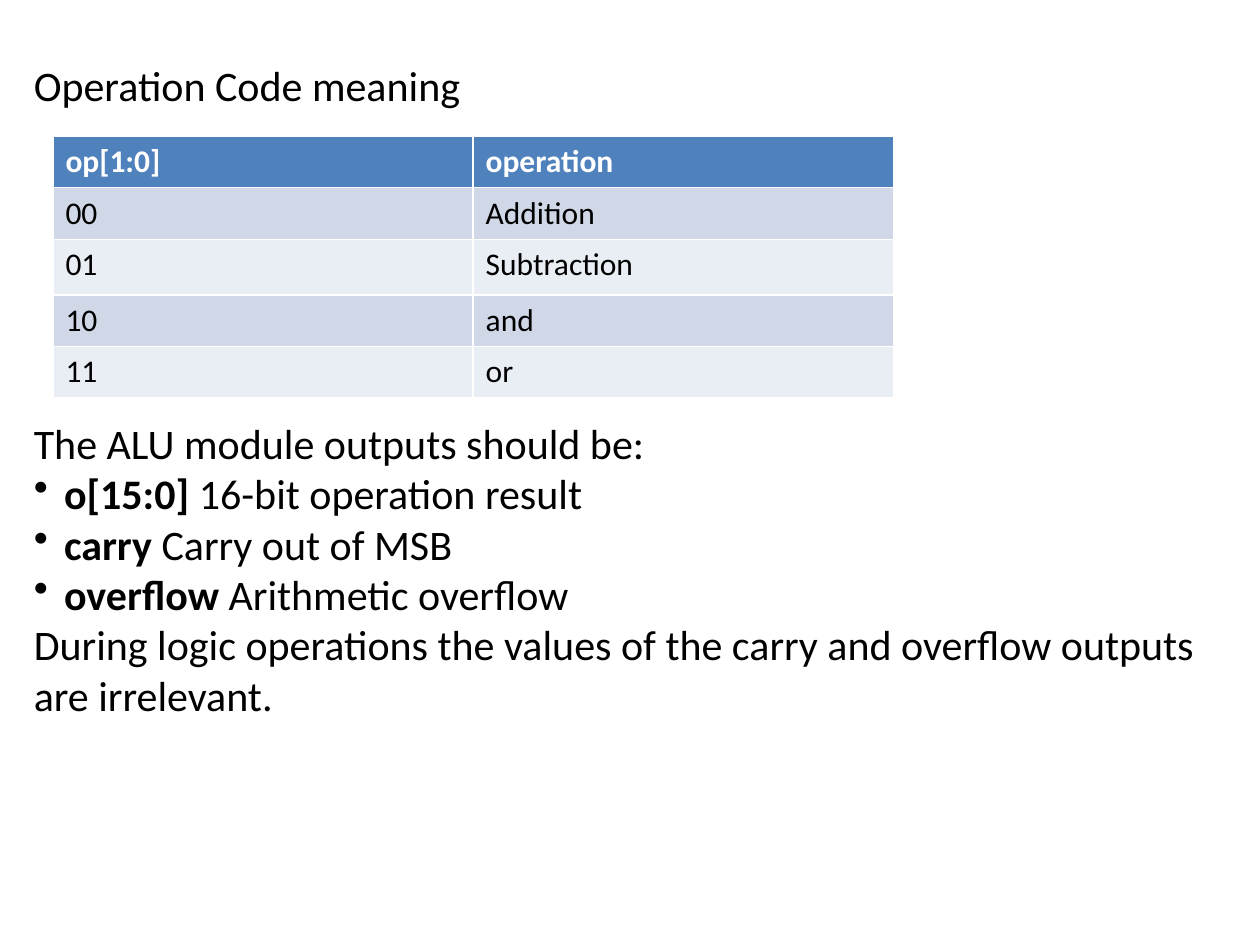
from dataclasses import dataclass

from lxml import etree
from pptx import Presentation
from pptx.dml.color import RGBColor
from pptx.enum import text
from pptx.oxml import ns
from pptx.util import Inches, Pt

COLORS = {
    "header": "4F81BD",
    "odd": "D0D8E8",
    "even": "E9EDF4",
    "light": "FFFFFF",
    "dark": "000000",
}
FONT = "Calibri"
BULLET_INDENT = Inches(0.24)
TABLE_GAP = Pt(175.8)


@dataclass
class Line:
    body: str
    term: str = ""
    space_before: int = 0


LINES = [
    Line("Operation Code meaning"),
    Line("The ALU module outputs should be:", space_before=TABLE_GAP),
    Line("16-bit operation result", "o[15:0] "),
    Line("Carry out of MSB", "carry "),
    Line(" Arithmetic overflow", "overflow"),
    Line("During logic operations the values of the carry and overflow "
         "outputs are irrelevant."),
]
OPERATIONS = [
    ("op[1:0]", "operation"),
    ("00", "Addition"),
    ("01", "Subtraction"),
    ("10", "and"),
    ("11", "or"),
]
ROW_HEIGHTS = [0.41, 0.41, 0.44, 0.41, 0.41]


def add_run(p, words: str, size: int, color: str, bold: bool = False) -> None:
    r = p.add_run()
    r.text = words
    for name, value in {"name": FONT, "size": Pt(size), "bold": bold}.items():
        setattr(r.font, name, value)
    r.font.color.rgb = RGBColor.from_string(COLORS[color])


def add_bullet(p) -> None:
    pPr = p._p.get_or_add_pPr()
    pPr.set("marL", str(BULLET_INDENT))
    pPr.set("indent", str(-BULLET_INDENT))
    etree.SubElement(pPr, ns.qn("a:buChar"), char="•")


def add_description(slide, lines: list[Line]) -> None:
    sp = slide.shapes.add_textbox(
        Inches(0.17), Inches(0.42), Inches(9.67), Inches(5.35))
    tf = sp.text_frame
    layout = {"word_wrap": True, "auto_size": text.MSO_AUTO_SIZE.SHAPE_TO_FIT_TEXT}
    for name, value in layout.items():
        setattr(tf, name, value)
    for i, line in enumerate(lines):
        p = tf.add_paragraph() if i else tf.paragraphs[0]
        if line.space_before:
            p.space_before = line.space_before
        if line.term:
            add_bullet(p)
            add_run(p, line.term, 24, "dark", True)
        add_run(p, line.body, 24, "dark")


def add_operations(slide, rows: list[tuple[str, str]]) -> None:
    table = slide.shapes.add_table(
        len(rows), len(rows[0]), Inches(0.42), Inches(1.08),
        Inches(6.67), Inches(sum(ROW_HEIGHTS))).table
    for i, (row, height) in enumerate(zip(rows, ROW_HEIGHTS)):
        table.rows[i].height = Inches(height)
        header = i == 0
        fill = "header" if header else "odd" if i % 2 else "even"
        for j, words in enumerate(row):
            cell = table.cell(i, j)
            cell.fill.solid()
            cell.fill.fore_color.rgb = RGBColor.from_string(COLORS[fill])
            add_run(cell.text_frame.paragraphs[0], words, 18,
                    "light" if header else "dark", header)


def main() -> None:
    prs = Presentation()
    prs.slide_width, prs.slide_height = Inches(10), Inches(7.5)
    s = prs.slides.add_slide(prs.slide_layouts[6])
    add_description(s, LINES)
    add_operations(s, OPERATIONS)
    prs.save("out.pptx")


if __name__ == "__main__":
    main()
